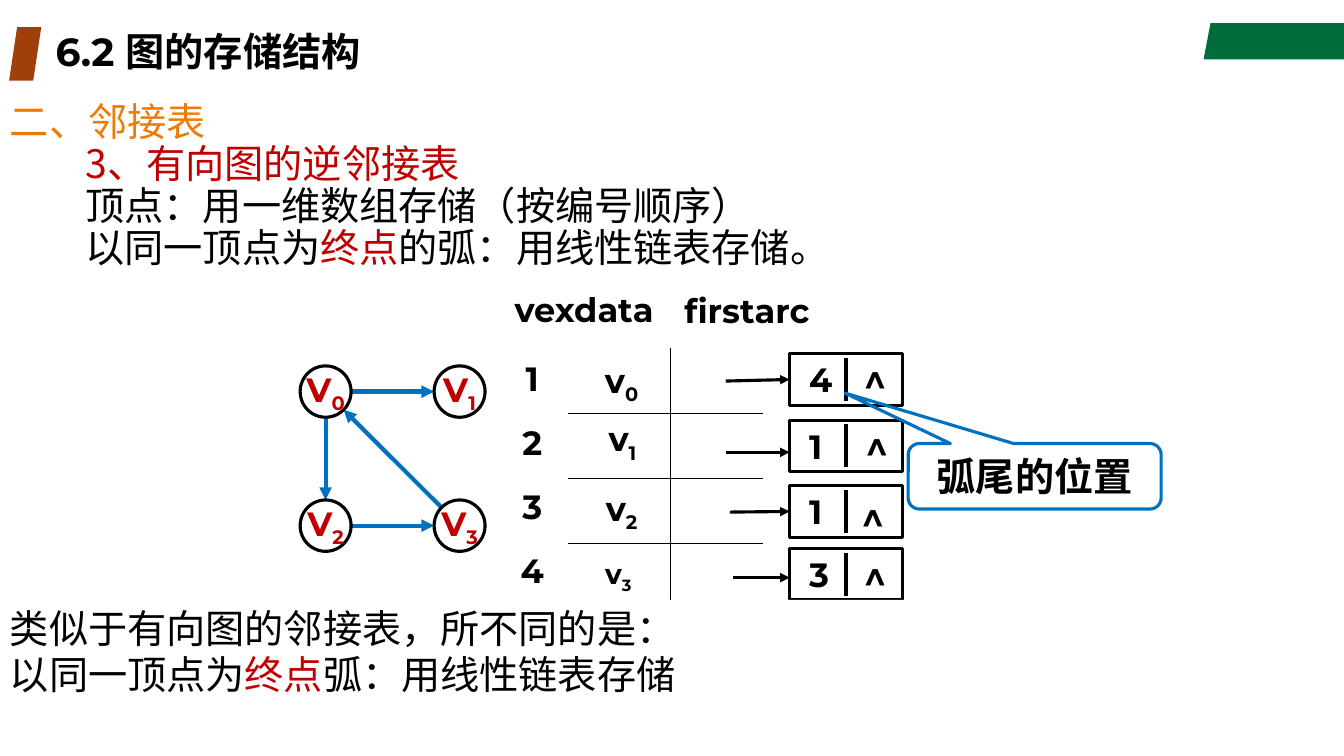
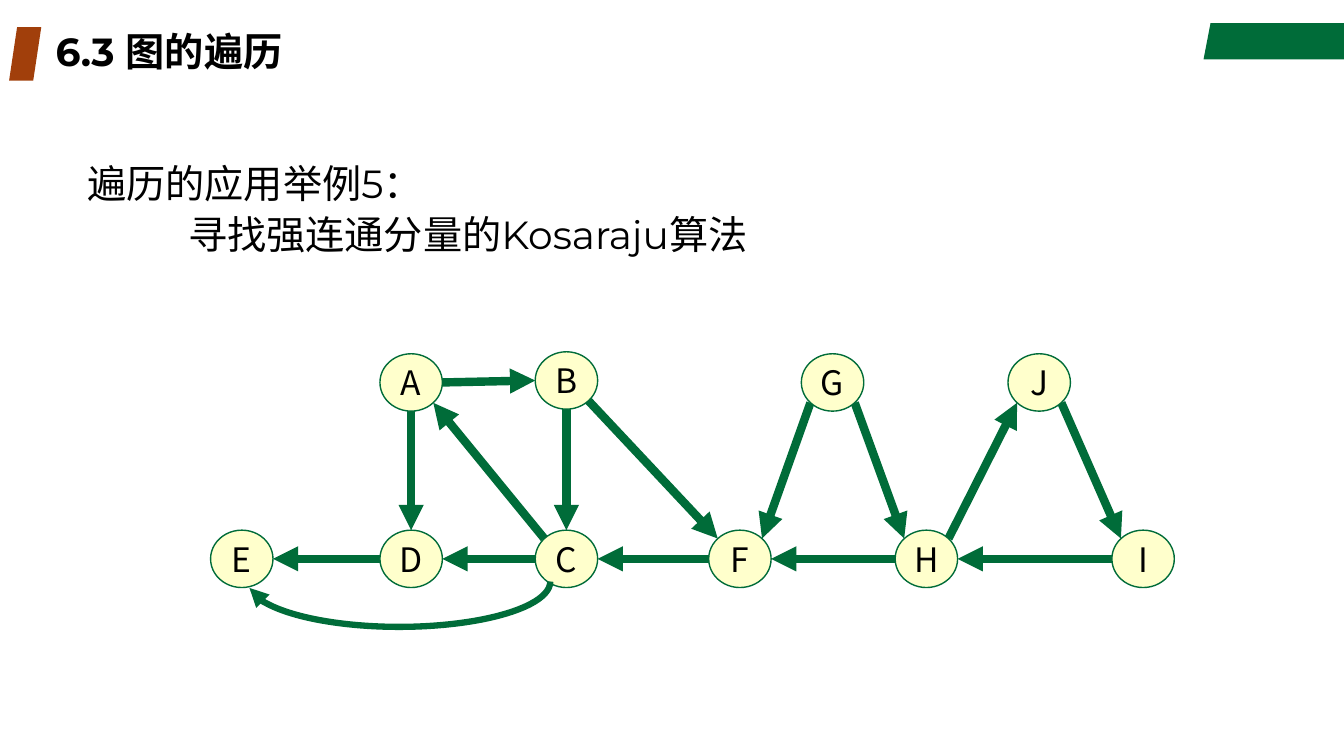
from pptx import Presentation
from pptx.dml.color import RGBColor
from pptx.enum.shapes import MSO_CONNECTOR, MSO_SHAPE
from pptx.enum.text import MSO_ANCHOR, PP_ALIGN
from pptx.oxml.ns import qn
from pptx.util import Pt
from lxml import etree

STRAIGHT = MSO_CONNECTOR.STRAIGHT
OVAL, RECTANGLE, ARC = MSO_SHAPE.OVAL, MSO_SHAPE.RECTANGLE, MSO_SHAPE.ARC
PARALLELOGRAM, CALLOUT = MSO_SHAPE.PARALLELOGRAM, MSO_SHAPE.ROUNDED_RECTANGULAR_CALLOUT
TOP, MIDDLE = MSO_ANCHOR.TOP, MSO_ANCHOR.MIDDLE
LEFT, CENTER = PP_ALIGN.LEFT, PP_ALIGN.CENTER

BLACK, WHITE, RED, ORANGE = "000000", "FFFFFF", "C00000", "EE7B08"
GREEN, BROWN, BLUE, CREAM = "006C39", "A13F0B", "0070C0", "FFFFCC"
LATIN, CHINESE = "Montserrat", "Noto Sans CJK SC"
SUBSCRIPT = "subscript"

# A paragraph is (left indent, runs); a run is (text, colour) or (text, colour, SUBSCRIPT).
STORAGE_TITLE = "6.2 图的存储结构"
STORAGE_BODY = [
    (0, [("二、邻接表", ORANGE)]),
    (54, [("3、有向图的逆邻接表", RED)]),
    (54, [("顶点：用一维数组存储（按编号顺序）", BLACK)]),
    (54, [("以同一顶点为", BLACK), ("终点", RED), ("的弧：用线性链表存储。", BLACK)]),
]
STORAGE_CLOSING = [
    (0, [("类似于有向图的邻接表，所不同的是：", BLACK)]),
    (0, [("以同一顶点为", BLACK), ("终点", RED), ("弧：用线性链表存储", BLACK)]),
]
# column heading, centre x, centre y
TABLE_HEADINGS = [("vexdata", 417.2, 220.7), ("firstarc", 533.5, 221.4)]
# vertex label centre and size, arrow start, arc box top, arc tail, caret centre
TABLE_ROWS = [
    ((444, 273.2), 24, (518.4, 272.2), 252.7, "4", (625, 270.4)),
    ((444.6, 315), 24, (518.4, 323.1), 300.2, "1", (626.4, 318.6)),
    ((444, 364.7), 24, (521.3, 365.8), 347, "1", (623.5, 369)),
    ((441.7, 411.1), 20, (523.4, 412.6), 391.7, "3", (625, 411.5)),
]
CALLOUT_TEXT = "弧尾的位置"
STORAGE_NODES = {"0": (232.6, 279.7), "1": (328.3, 279.7),
                 "2": (232.6, 375.5), "3": (328.3, 375.5)}
STORAGE_EDGES = ["0 right 1 left", "0 bottom 2 top", "2 right 3 left",
                 "3 top-left 0 bottom-right"]

TRAVERSAL_TITLE = "6.3 图的遍历"
TRAVERSAL_BODY = [
    (0, [("遍历的应用举例5：", BLACK)]),
    (72, [("寻找强连通分量的Kosaraju算法", BLACK)]),
]
UPPER, LOWER = 273.2, 399.2
TRAVERSAL_NODES = {
    "A": (293.7, UPPER), "B": (404.6, 271.8), "G": (594.7, UPPER), "J": (742.3, UPPER),
    "E": (172.7, LOWER), "D": (293.7, LOWER), "C": (404.6, LOWER),
    "F": (528.5, LOWER), "H": (661.7, LOWER), "I": (816.5, LOWER),
}
TRAVERSAL_EDGES = [
    "A bottom D top", "A right B left", "D left E right", "C left D right",
    "C top-left A bottom-right", "B bottom C top", "B bottom-right F top-left",
    "F left C right", "G bottom-left F top-right", "H left F right",
    "G bottom-right H top-left", "I left H right", "J bottom-right I top-left",
    "H top-right J bottom-left",
]

DIAGONAL = 0.71
SITES = {"top": (0, -1), "bottom": (0, 1), "left": (-1, 0), "right": (1, 0),
         "top-left": (-DIAGONAL, -DIAGONAL), "top-right": (DIAGONAL, -DIAGONAL),
         "bottom-left": (-DIAGONAL, DIAGONAL), "bottom-right": (DIAGONAL, DIAGONAL)}


def rgb(color):
    return RGBColor.from_string(color)


def add_run(paragraph, text, color, style=None, size=24, font=LATIN, bold=True):
    run = paragraph.add_run()
    run.text = text
    run.font.size, run.font.bold, run.font.name = Pt(size), bold, font
    run.font.color.rgb = rgb(color)
    properties = run._r.get_or_add_rPr()
    etree.SubElement(properties, qn("a:ea"), typeface=CHINESE)
    if style == SUBSCRIPT:
        properties.set("baseline", "-25000")


def write(shape, paragraphs, align=CENTER, anchor=MIDDLE, wrap=True,
          margins=(7.2, 3.6), line_height=None, **run_style):
    """Fill a shape with paragraphs; margins are left/right and top."""
    frame = shape.text_frame
    frame.word_wrap, frame.vertical_anchor = wrap, anchor
    frame.margin_left = frame.margin_right = Pt(margins[0])
    frame.margin_top, frame.margin_bottom = Pt(margins[1]), Pt(3.6)
    for index, (indent, runs) in enumerate(paragraphs):
        paragraph = frame.add_paragraph() if index else frame.paragraphs[0]
        paragraph.alignment = align
        if indent:
            paragraph._p.get_or_add_pPr().set("marL", str(Pt(indent)))
        if line_height:
            paragraph.line_spacing = Pt(line_height)
        for run in runs:
            add_run(paragraph, *run, **run_style)


def style_shape(shape, fill=None, line=None, width=1):
    shape.shadow.inherit = False
    if fill:
        shape.fill.solid()
        shape.fill.fore_color.rgb = rgb(fill)
    else:
        shape.fill.background()
    if line:
        shape.line.color.rgb = rgb(line)
        shape.line.width = Pt(width)
    else:
        shape.line.fill.background()


def add_shape(slide, kind, left, top, width, height, fill=None, line=None, line_width=1):
    shape = slide.shapes.add_shape(kind, Pt(left), Pt(top), Pt(width), Pt(height))
    style_shape(shape, fill, line, line_width)
    return shape


def add_text(slide, left, top, width, height, paragraphs, **style):
    box = slide.shapes.add_textbox(Pt(left), Pt(top), Pt(width), Pt(height))
    write(box, paragraphs, **style)


def add_label(slide, x, y, runs, size=24, width=40):
    """One line of text centred on a point."""
    add_text(slide, x - width / 2, y - 18, width, 36, [(0, runs)],
             margins=(0, 3.6), size=size)


def add_arrowhead(shape):
    etree.SubElement(shape.line._get_or_add_ln(), qn("a:tailEnd"), type="triangle")


def add_line(slide, start, end, color=BLACK, width=0.75, arrow=False):
    points = [Pt(value) for value in (*start, *end)]
    connector = slide.shapes.add_connector(STRAIGHT, *points)
    connector.line.color.rgb = rgb(color)
    connector.line.width = Pt(width)
    if arrow:
        add_arrowhead(connector)
    etree.SubElement(connector._element.spPr, qn("a:effectLst"))
    return connector


def add_graph(slide, nodes, edges, size, label, edge_style, node_style, text_style):
    """Draw nodes by centre, and edges given as 'node site node site'."""
    width, height = size

    def site_point(node, site):
        (x, y), (across, down) = nodes[node], SITES[site]
        return x + across * width / 2, y + down * height / 2

    for edge in edges:
        source, source_site, target, target_site = edge.split()
        add_line(slide, site_point(source, source_site), site_point(target, target_site),
                 arrow=True, **edge_style)
    for name, (x, y) in nodes.items():
        node = add_shape(slide, OVAL, x - width / 2, y - height / 2, width, height, **node_style)
        write(node, [(0, label(name))], wrap=False, margins=(0, 3.6), **text_style)


def add_base_slide(presentation, title):
    """Slide with the shared corner band, title marker and title."""
    slide = presentation.slides.add_slide(presentation.slide_layouts[6])
    builder = slide.shapes.build_freeform(Pt(864.7), Pt(16.6))
    corners = [(960, 16.6), (960, 42.5), (859.7, 42.5)]
    builder.add_line_segments([(Pt(x), Pt(y)) for x, y in corners], close=True)
    style_shape(builder.convert_to_shape(), GREEN)
    add_shape(slide, PARALLELOGRAM, 6.5, 19.4, 23, 38.2, BROWN)
    add_text(slide, 32.6, 17.3, 680, 38.2, [(0, [(title, BLACK)])], align=LEFT, size=28)
    return slide


def add_adjacency_table(slide):
    for text, x, y in TABLE_HEADINGS:
        add_label(slide, x, y, [(text, BLACK)], width=114)
    for index in range(3):
        y = 295.2 + 46.4 * index
        add_line(slide, (405.4, y), (545, y))
    add_line(slide, (478.8, 248.4), (478.8, 432.7))
    box_left, box_width, box_height = 564, 80.6, 36.7
    divider = box_left + box_width / 2
    for index, (vertex, size, arrow_start, top, tail, caret) in enumerate(TABLE_ROWS):
        add_label(slide, 380.2, 270.4 + 45.6 * index, [(str(index + 1), BLACK)])
        add_label(slide, *vertex, [("v", BLACK), (str(index), BLACK, SUBSCRIPT)], size)
        box = add_shape(slide, RECTANGLE, box_left, top, box_width, box_height,
                        line=BLACK, line_width=2.25)
        write(box, [(0, [(tail, BLACK)])], align=LEFT, margins=(14, 3.6))
        add_line(slide, (divider, top + 3), (divider, top + box_height - 3), width=2.25)
        arrow = add_line(slide, arrow_start, (box_left, arrow_start[1]),
                         width=2.25, arrow=True)
        if abs(arrow_start[1] - top - box_height / 2) < 1.5:
            arrow.end_connect(box, 1)
        add_label(slide, *caret, [("^", BLACK)], 28)


def build_storage_slide(presentation):
    slide = add_base_slide(presentation, STORAGE_TITLE)
    body_style = dict(align=LEFT, anchor=TOP, size=28, font=CHINESE, bold=False)
    add_text(slide, 0, 69.8, 828, 130, STORAGE_BODY, line_height=30, **body_style)
    add_adjacency_table(slide)
    closing = add_shape(slide, RECTANGLE, 0, 428.4, 960, 108.7, WHITE)
    write(closing, STORAGE_CLOSING, margins=(7.2, 4), line_height=33, **body_style)
    add_graph(slide, STORAGE_NODES, STORAGE_EDGES, (36.4, 36.7),
              lambda name: [("V", RED), (name, RED, SUBSCRIPT)],
              dict(color=BLUE, width=3), dict(line=BLACK, line_width=2.25), {})
    callout = add_shape(slide, CALLOUT, 648.7, 316.8, 180.7, 46.8, line=BLUE, line_width=2.25)
    for index, value in enumerate((-0.75, -1.27, 0.17)):
        callout.adjustments[index] = value
    write(callout, [(0, [(CALLOUT_TEXT, BLACK)])], size=28)


def build_traversal_slide(presentation):
    slide = add_base_slide(presentation, TRAVERSAL_TITLE)
    add_text(slide, 55.4, 106.6, 878, 98, TRAVERSAL_BODY, align=LEFT, anchor=TOP,
             line_height=37, size=28, bold=False)
    add_graph(slide, TRAVERSAL_NODES, TRAVERSAL_EDGES, (44.6, 41),
              lambda name: [(name, BLACK)], dict(color=GREEN, width=6),
              dict(fill=CREAM, line=GREEN), dict(font=CHINESE, bold=False))
    curve = add_shape(slide, ARC, 177.1, 383, 216, 64.8, line=GREEN, line_width=4.5)
    curve.adjustments[0], curve.adjustments[1] = 0, 106.52
    add_arrowhead(curve)


def main():
    presentation = Presentation()
    presentation.slide_width, presentation.slide_height = Pt(960), Pt(540)
    build_storage_slide(presentation)
    build_traversal_slide(presentation)
    presentation.save("out.pptx")


if __name__ == "__main__":
    main()
